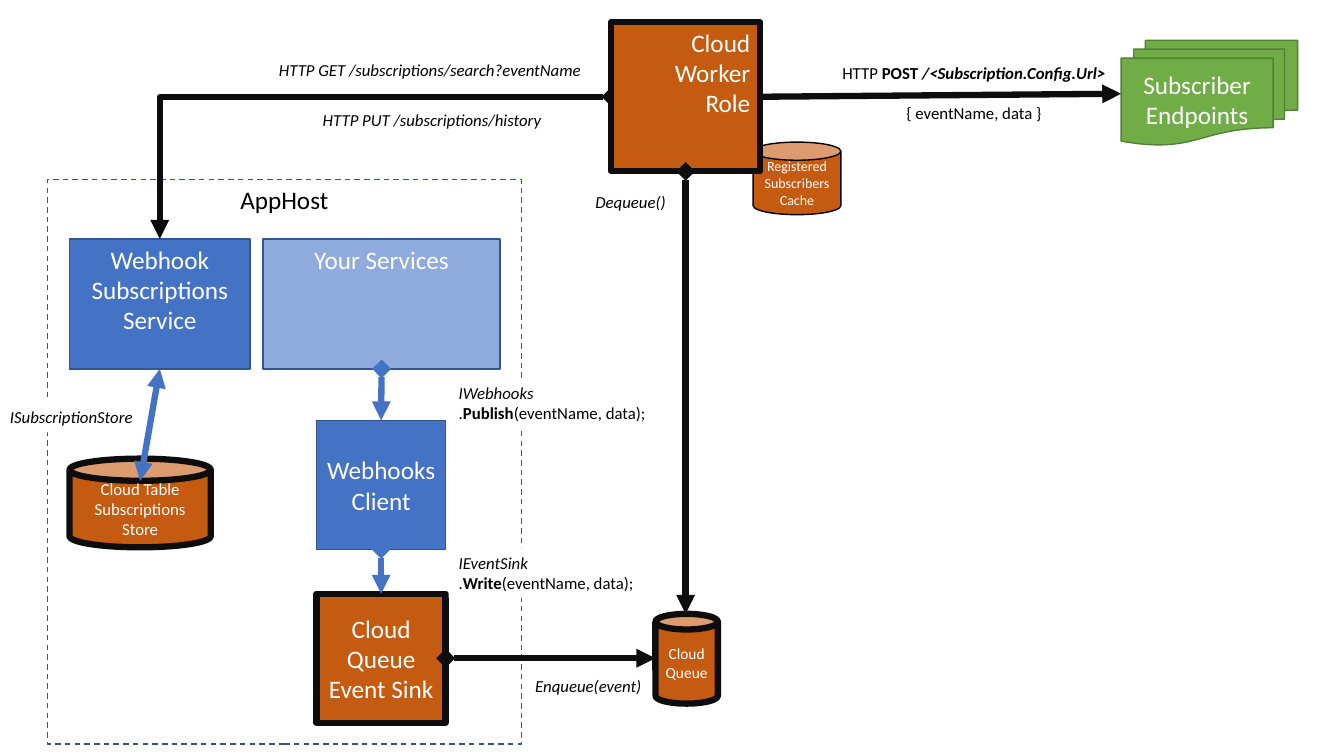
from lxml.etree import SubElement
from pptx import Presentation
from pptx.dml.color import RGBColor
from pptx.enum.dml import MSO_LINE
from pptx.enum.shapes import MSO_CONNECTOR, MSO_SHAPE
from pptx.enum.text import MSO_ANCHOR, MSO_AUTO_SIZE, PP_ALIGN
from pptx.oxml.ns import qn
from pptx.util import Pt

PX = 9144
FONT = "Calibri"
HEX = {
    "white": "FFFFFF", "black": "000000", "ink": "0D0D0D",
    "blue": "4472C4", "pale": "8FAADC", "navy": "325491",
    "rust": "C55A11", "green": "70AD47", "moss": "538035",
}
LEFT, MID, RIGHT = PP_ALIGN.LEFT, PP_ALIGN.CENTER, PP_ALIGN.RIGHT


def emu(*nums):
    return [num * PX for num in nums]


def tint(name):
    return RGBColor.from_string(HEX[name])


def write(frame, paras, size, color, align=MID, gap=0):
    for num, runs in enumerate(paras):
        para = frame.paragraphs[0] if num == 0 else frame.add_paragraph()
        para.alignment = align
        if num and gap:
            para.space_before = Pt(gap)
        for text, style in runs:
            run = para.add_run()
            run.text = text
            font = run.font
            font.name, font.size = FONT, Pt(size)
            font.bold, font.italic = "b" in style, "i" in style
            font.color.rgb = tint(color)


def node(slide, kind, box, text, fill, edge, width=1, size=18,
         color="white", align=MID, anchor=MSO_ANCHOR.MIDDLE):
    shape = slide.shapes.add_shape(kind, *emu(*box))
    shape.shadow.inherit = False
    if fill:
        shape.fill.solid()
        shape.fill.fore_color.rgb = tint(fill)
    else:
        shape.fill.background()
    shape.line.color.rgb = tint(edge)
    shape.line.width = Pt(width)
    frame = shape.text_frame
    frame.word_wrap = True
    frame.vertical_anchor = anchor
    if kind == MSO_SHAPE.CAN:
        frame.margin_left = frame.margin_right = 0
    write(frame, [[(line, "")] for line in text.split("\n")], size, color, align)
    return shape


def label(slide, box, paras, align=MID, fill=True, wrap=False, gap=0):
    shape = slide.shapes.add_textbox(*emu(*box))
    if fill:
        shape.fill.solid()
        shape.fill.fore_color.rgb = tint("white")
    frame = shape.text_frame
    frame.word_wrap = wrap
    frame.auto_size = MSO_AUTO_SIZE.SHAPE_TO_FIT_TEXT
    write(frame, paras, 12, "black", align, gap)


def arrow(slide, start, end, color, head=None, begin=None, stop=None, bent=False):
    kind = MSO_CONNECTOR.ELBOW if bent else MSO_CONNECTOR.STRAIGHT
    link = slide.shapes.add_connector(kind, *emu(*start, *end))
    if begin:
        link.begin_connect(*begin)
    if stop:
        link.end_connect(*stop)
    link.line.color.rgb = tint(color)
    link.line.width = Pt(4.5)
    props = link.element.spPr
    if bent:
        props.find(qn("a:prstGeom")).set("prst", "bentConnector2")
    line = props.find(qn("a:ln"))
    if head:
        SubElement(line, qn("a:headEnd")).set("type", head)
    SubElement(line, qn("a:tailEnd")).set("type", "triangle")
    SubElement(props, qn("a:effectLst"))


def main():
    deck = Presentation()
    deck.slide_width, deck.slide_height = emu(1333, 750)
    slide = deck.slides.add_slide(deck.slide_layouts[6])
    rect, can, top = MSO_SHAPE.RECTANGLE, MSO_SHAPE.CAN, MSO_ANCHOR.TOP

    node(slide, can, (747, 141, 87, 72), "Registered\nSubscribers\nCache",
         "rust", "black", size=10)
    hooks = node(slide, rect, (69, 237, 179, 129),
                 "Webhook\nSubscriptions\nService", "blue", "navy", anchor=top)
    yours = node(slide, rect, (261, 237, 235, 129), "Your Services",
                 "pale", "navy", anchor=top)
    node(slide, can, (69, 455, 140, 88), "Cloud Table\nSubscriptions\nStore",
         "rust", "ink", 4.5, 12)
    client = node(slide, rect, (314, 417, 128, 128), "Webhooks\nClient",
                  "blue", "navy")
    sink = node(slide, rect, (314, 589, 128, 128), "Cloud\nQueue\nEvent Sink",
                "rust", "ink", 4.5)
    host = node(slide, rect, (47, 178, 470, 560), "AppHost", None, "navy",
                color="black", anchor=top)
    host.line.dash_style = MSO_LINE.DASH
    worker = node(slide, rect, (606, 22, 148, 148), "Cloud\nWorker\nRole",
                  "rust", "ink", 4.5, align=RIGHT, anchor=top)

    arrow(slide, (754, 96), (1112, 93), "ink", begin=(worker, 3))
    label(slide, (819, 57, 294, 71),
          [[("HTTP ", ""), ("POST ", "b"), ("/<Subscription.Config.Url>", "bi")],
           [("{ eventName, data }", "")]], fill=False, wrap=True, gap=14.6)
    arrow(slide, (158, 366), (139, 477), "blue", "triangle", (hooks, 2))
    arrow(slide, (378, 366), (378, 417), "blue", "diamond", (yours, 2), (client, 0))
    arrow(slide, (378, 545), (378, 589), "blue", "diamond", (client, 2), (sink, 0))
    arrow(slide, (606, 96), (158, 237), "ink", "diamond", (worker, 1), (hooks, 0),
          bent=True)

    for box, name, call in (((445, 375, 208, 50), "IWebhooks", "Publish"),
                            ((445, 543, 195, 50), "IEventSink", "Write")):
        label(slide, box, [[(name, "i")],
                           [(".", ""), (call, "b"), ("(eventName, data);", "")]], LEFT)
    label(slide, (265, 54, 323, 30),
          [[("HTTP GET /subscriptions/search?eventName", "i")]])
    node(slide, MSO_SHAPE.FLOWCHART_MULTIDOCUMENT, (1112, 40, 175, 104),
         "Subscriber Endpoints", "green", "moss")
    worker.element.getparent().append(worker.element)
    node(slide, can, (650, 609, 62, 89), "Cloud\nQueue", "rust", "ink", 4.5, 11)
    arrow(slide, (442, 653), (650, 653), "ink", "diamond", (sink, 3))
    arrow(slide, (680, 170), (680, 609), "ink", "diamond", (worker, 2))

    for box, text, align in (
            ((580, 185, 91, 30), "Dequeue()", MID),
            ((520, 665, 127, 30), "Enqueue(event)", MID),
            ((0, 399, 143, 30), "ISubscriptionStore", LEFT),
            ((309, 104, 239, 30), "HTTP PUT /subscriptions/history", MID)):
        label(slide, box, [[(text, "i")]], align)

    deck.save("out.pptx")


if __name__ == "__main__":
    main()
